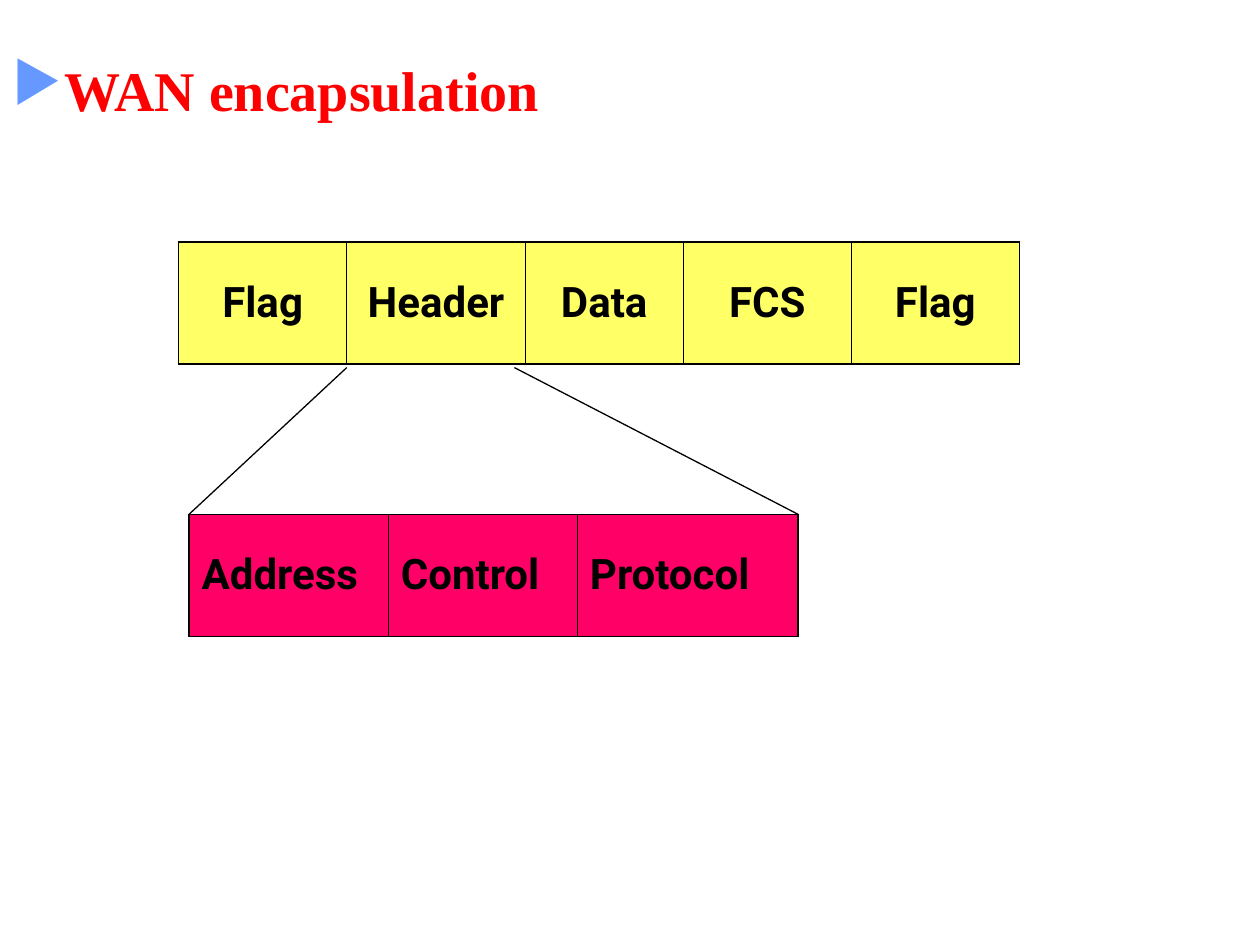
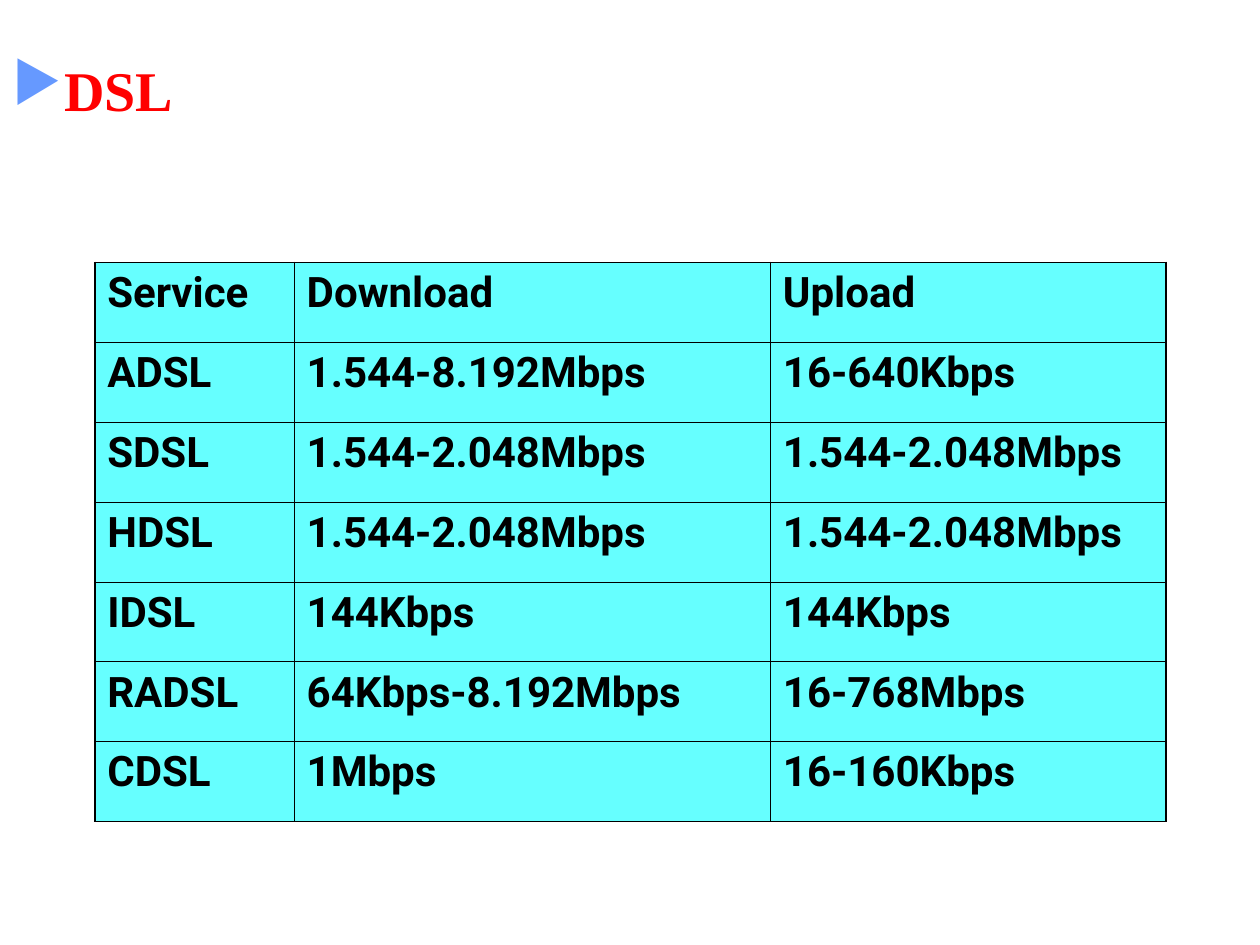
from lxml import etree
from pptx import Presentation
from pptx.dml.color import RGBColor
from pptx.enum.shapes import MSO_CONNECTOR
from pptx.enum.text import MSO_ANCHOR, PP_ALIGN
from pptx.oxml.ns import qn
from pptx.util import Cm, Pt

STRAIGHT = MSO_CONNECTOR.STRAIGHT
TOP, MIDDLE = MSO_ANCHOR.TOP, MSO_ANCHOR.MIDDLE
LEFT, CENTER = PP_ALIGN.LEFT, PP_ALIGN.CENTER

RED, BLUE, BLACK = "FF0000", "6699FF", "000000"
YELLOW, PINK, CYAN = "FFFF66", "FF0066", "66FFFF"
OUTER, INNER = 1.08, 0.45
TITLE_FONT = {"name": "Times New Roman", "size": Pt(32), "bold": True}
CELL_FONT = {"name": "Roboto", "size": Pt(24), "bold": True}

FRAME_FIELDS = [["Flag", "Header", "Data", "FCS", "Flag"]]
HEADER_FIELDS = [["Address", "Control", "Protocol"]]
DSL_RATES = [
    ["Service", "Download", "Upload"],
    ["ADSL", "1.544-8.192Mbps", "16-640Kbps"],
    ["SDSL", "1.544-2.048Mbps", "1.544-2.048Mbps"],
    ["HDSL", "1.544-2.048Mbps", "1.544-2.048Mbps"],
    ["IDSL", "144Kbps", "144Kbps"],
    ["RADSL", "64Kbps-8.192Mbps", "16-768Mbps"],
    ["CDSL", "1Mbps", "16-160Kbps"],
]


def rgb(value):
    """Turn a hex string into a colour."""
    return RGBColor.from_string(value)


def add_run(p, text, formats, color):
    """Add a formatted run to a paragraph."""
    r = p.add_run()
    r.text = text
    for name, value in formats.items():
        setattr(r.font, name, value)
    r.font.color.rgb = rgb(color)


def add_bullet(p, char, color):
    """Give a paragraph a coloured bullet character."""
    pPr = p._p.get_or_add_pPr()
    bu_color = etree.SubElement(pPr, qn("a:buClr"))
    etree.SubElement(bu_color, qn("a:srgbClr"), val=color)
    etree.SubElement(pPr, qn("a:buChar"), char=char)


def add_titled_slide(prs, title):
    """Add a blank slide with the shared bulleted title."""
    s = prs.slides.add_slide(prs.slide_layouts[6])
    tf = s.shapes.add_textbox(0, Cm(0.84), prs.slide_width, Cm(1.9)).text_frame
    tf.word_wrap = True
    tf.vertical_anchor = MIDDLE
    p = tf.paragraphs[0]
    add_bullet(p, "▶", BLUE)
    add_run(p, title, TITLE_FONT, RED)
    return s


def add_borders(cell, widths):
    """Draw the left, right, top and bottom borders of a cell."""
    tcPr = cell._tc.get_or_add_tcPr()
    for side, width in zip("LRTB", widths):
        ln = etree.SubElement(tcPr, qn(f"a:ln{side}"), w=str(Pt(width)))
        fill = etree.SubElement(ln, qn("a:solidFill"))
        etree.SubElement(fill, qn("a:srgbClr"), val=BLACK)


def add_grid(s, left, top, col_widths, row_height, rows, fill, anchor=MIDDLE, align=LEFT):
    """Add a filled table with heavier outer borders."""
    n_rows, n_cols = len(rows), len(col_widths)
    table = s.shapes.add_table(n_rows, n_cols, Cm(left), Cm(top),
                               Cm(sum(col_widths)), Cm(row_height * n_rows)).table
    table.first_row = table.horz_banding = False
    for column, width in zip(table.columns, col_widths):
        column.width = Cm(width)
    for i, texts in enumerate(rows):
        table.rows[i].height = Cm(row_height)
        for j, text in enumerate(texts):
            cell = table.cell(i, j)
            on_edge = (j == 0, j == n_cols - 1, i == 0, i == n_rows - 1)
            add_borders(cell, [OUTER if edge else INNER for edge in on_edge])
            cell.fill.solid()
            cell.fill.fore_color.rgb = rgb(fill)
            cell.vertical_anchor = anchor
            p = cell.text_frame.paragraphs[0]
            p.alignment = align
            add_run(p, text, CELL_FONT, BLACK)


def add_line(s, x1, y1, x2, y2):
    """Add a thin black line without shadow."""
    line = s.shapes.add_connector(STRAIGHT, Cm(x1), Cm(y1), Cm(x2), Cm(y2))
    line.line.width = Pt(0.75)
    line.line.color.rgb = rgb(BLACK)
    etree.SubElement(line._element.spPr, qn("a:effectLst"))


def add_encapsulation_slide(prs):
    """Show the WAN frame and the fields of its header."""
    s = add_titled_slide(prs, "WAN encapsulation")
    left, top, widths = 3.81, 10.37, [4.02, 3.81, 4.45]
    add_grid(s, 3.6, 4.88, [3.39, 3.6, 3.18, 3.39, 3.39], 2.46, FRAME_FIELDS,
             YELLOW, align=CENTER)
    add_grid(s, left, top, widths, 2.46, HEADER_FIELDS, PINK)
    add_line(s, 6.99, 7.41, left, top)
    add_line(s, 10.37, 7.41, left + sum(widths), top)


def add_dsl_slide(prs):
    """Show the rates of the DSL services."""
    s = add_titled_slide(prs, "DSL")
    add_grid(s, 1.91, 5.29, [4.02, 9.6, 7.98], 1.61, DSL_RATES, CYAN, anchor=TOP)


def main():
    """Build and save the presentation."""
    prs = Presentation()
    prs.slide_width, prs.slide_height = Cm(25.4), Cm(19.05)
    add_encapsulation_slide(prs)
    add_dsl_slide(prs)
    prs.save("out.pptx")


if __name__ == "__main__":
    main()
